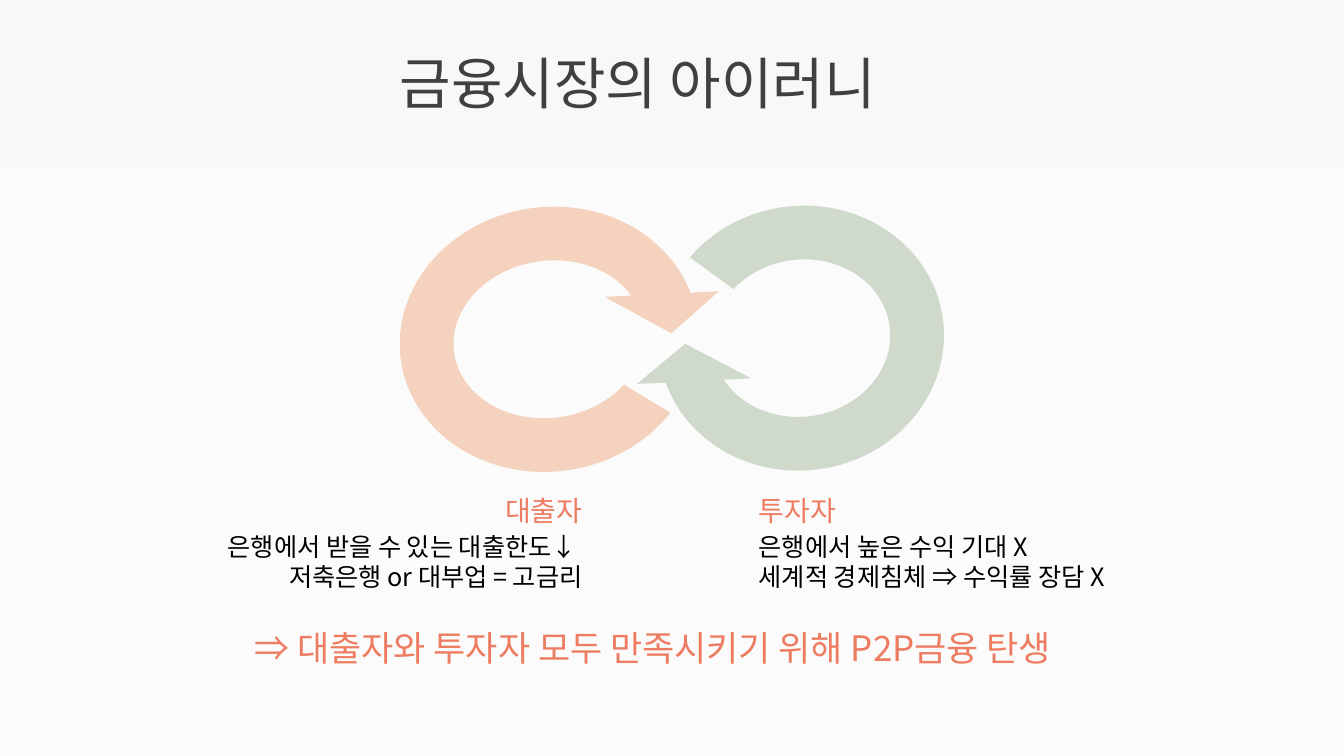
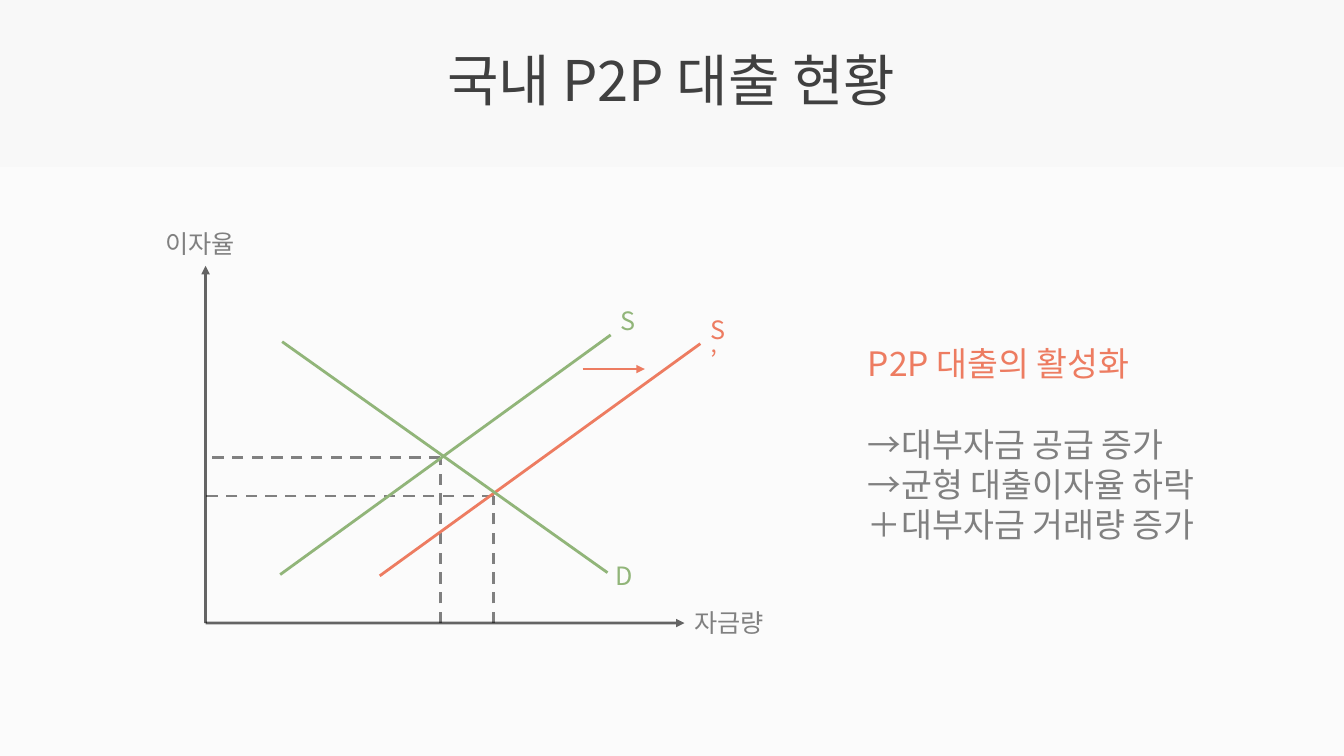
from lxml.etree import SubElement
from pptx import Presentation
from pptx.dml.color import RGBColor
from pptx.enum.dml import MSO_LINE
from pptx.enum.shapes import MSO_CONNECTOR, MSO_SHAPE
from pptx.enum.text import MSO_ANCHOR, PP_ALIGN
from pptx.oxml.ns import qn
from pptx.util import Cm, Pt

FONT = "Noto Sans CJK KR"
BLACK = RGBColor(0x00, 0x00, 0x00)
WHITE = RGBColor(0xFF, 0xFF, 0xFF)
PALE = RGBColor(0xF2, 0xF2, 0xF2)
DARK = RGBColor(0x40, 0x40, 0x40)
GRAY = RGBColor(0x80, 0x80, 0x80)
CORAL = RGBColor(0xED, 0x7C, 0x61)
GREEN = RGBColor(0x91, 0xB5, 0x79)
PEACH = RGBColor(0xF3, 0xC1, 0xA3)
SAGE = RGBColor(0xBD, 0xCC, 0xBA)

SLIDE_W, SLIDE_H, BAND_H = 33.87, 19.05, 4.2


# Shared helpers; lengths are in centimetres
def set_opacity(color_owner, percent):
    color = next(color_owner.iter(qn("a:srgbClr")))
    SubElement(color, qn("a:alpha"), val=str(percent * 1000))


def add_block(slide, preset, box, color, opacity):
    block = slide.shapes.add_shape(preset, *map(Cm, box))
    block.shadow.inherit = False
    block.fill.solid()
    block.fill.fore_color.rgb = color
    block.line.fill.background()
    set_opacity(block.fill._xPr, opacity)
    return block


def add_text(slide, box, lines, size, color, align=PP_ALIGN.LEFT, spacing=None):
    frame = slide.shapes.add_textbox(*map(Cm, box)).text_frame
    frame.word_wrap = True
    frame.text = "\n".join(lines)
    for paragraph in frame.paragraphs:
        paragraph.alignment = align
        paragraph.line_spacing = spacing
        for run in paragraph.runs:
            run.font.name = FONT
            run.font.size = Pt(size)
            run.font.color.rgb = color
            SubElement(run.font._element, qn("a:ea"), typeface=FONT)
    return frame


def add_line(slide, start, end, color, dashed=False, arrow=False, opacity=None):
    line = slide.shapes.add_connector(MSO_CONNECTOR.STRAIGHT, *map(Cm, start + end))
    line.line.width = Pt(2)
    line.line.color.rgb = color
    properties = line._element.spPr
    if opacity:
        set_opacity(properties, opacity)
    if dashed:
        line.line.dash_style = MSO_LINE.DASH
    if arrow:
        SubElement(properties.find(qn("a:ln")), qn("a:tailEnd"), type="triangle")
    SubElement(properties, qn("a:effectLst"))


def add_base_slide(deck, title, title_box, align):
    slide = deck.slides.add_slide(deck.slide_layouts[6])
    add_block(slide, MSO_SHAPE.RECTANGLE, (0, 0, SLIDE_W, SLIDE_H), PALE, 50)
    add_block(slide, MSO_SHAPE.RECTANGLE,
              (0, BAND_H, SLIDE_W, SLIDE_H - BAND_H), WHITE, 50)
    heading = add_text(slide, title_box, [title], 40, DARK, align, 0.9)
    heading.vertical_anchor = MSO_ANCHOR.MIDDLE
    return slide


# Slide 1: the loop of borrowers and investors
def add_loop_arrow(slide, box, rotation, color, start_angle):
    arrow = add_block(slide, MSO_SHAPE.CIRCULAR_ARROW, box, color, 70)
    arrow.rotation = rotation
    for index, value in enumerate((0.165, 11.42, 207.87, start_angle, 0.176)):
        arrow.adjustments[index] = value


def add_party(slide, left, top, width, name, details, align):
    add_text(slide, (left, top, width, 1.4), [name], 20, CORAL, align, 1.5)
    add_text(slide, (left, top + 1.38, width, 1.8), details, 18, BLACK, align)


def build_irony_slide(deck):
    slide = add_base_slide(deck, "금융시장의 아이러니",
                           (9.83, 1.4, 14.2, 1.55), PP_ALIGN.JUSTIFY)
    add_loop_arrow(slide, (9.3, 4.45, 9.07, 8.2), 351.7, PEACH, 23.68)
    add_loop_arrow(slide, (15.82, 4.42, 8.74, 8.2), 171.7, SAGE, 26.56)
    add_party(slide, 4.52, 11.89, 10.41, "대출자",
              ["은행에서 받을 수 있는 대출한도↓ ", "저축은행 or 대부업 = 고금리"],
              PP_ALIGN.RIGHT)
    add_party(slide, 18.87, 11.89, 9.88, "투자자",
              ["은행에서 높은 수익 기대 X", "세계적 경제침체 ⇒ 수익률 장담 X"],
              PP_ALIGN.LEFT)
    add_text(slide, (6.17, 15.67, 21.51, 1.32),
             ["⇒ 대출자와 투자자 모두 만족시키기 위해 P2P금융 탄생"], 25, CORAL)


# Slide 2: supply and demand for loanable funds
def add_market_graph(slide, left, base):
    """Draw the graph from its axis origin; heights count upwards."""
    def at(x, height):
        return left + x, base - height

    # Equilibrium guides
    for amount, rate in ((5.92, 4.17), (7.26, 3.2)):
        add_line(slide, at(amount, 0), at(amount, rate), GRAY, dashed=True)
        add_line(slide, at(amount, rate), at(0, rate), GRAY, dashed=True)

    # Axes
    for axis_end in ((0, 9), (12.07, 0)):
        add_line(slide, at(0, 0), at(*axis_end), BLACK, arrow=True, opacity=60)

    # Supply, shifted supply and demand curves
    for start, end, color in (
        ((1.88, 1.22), (10.21, 7.26), GREEN),
        ((4.39, 1.19), (12.47, 7.04), CORAL),
        ((1.93, 7.09), (10.13, 1.27), GREEN),
    ):
        add_line(slide, at(*start), at(*end), color)
    add_line(slide, at(9.5, 6.4), at(11.07, 6.4), CORAL, arrow=True)

    # Axis and curve names
    for name, corner, width, color in (
        ("이자율", (-1.27, 10.08), 2.33, GRAY),
        ("자금량", (12.07, 0.51), 2.33, GRAY),
        ("S", (10.21, 8.13), 1.02, GREEN),
        ("S’", (12.47, 7.9), 1.02, CORAL),
        ("D", (10.08, 1.7), 1.02, GREEN),
    ):
        add_text(slide, (*at(*corner), width, 1.02), [name], 18, color)


def add_effects(slide, box):
    effects = add_text(slide, box, [
        "P2P 대출의 활성화",
        "→대부자금 공급 증가",
        "→균형 대출이자율 하락",
        "＋대부자금 거래량 증가",
    ], 24, GRAY)
    headline, first_effect = effects.paragraphs[:2]
    headline.runs[0].font.color.rgb = CORAL
    first_effect.space_before = Pt(29)


def build_market_slide(deck):
    slide = add_base_slide(deck, "국내 P2P 대출 현황",
                           (4.85, 1.32, 24.13, 1.55), PP_ALIGN.CENTER)
    add_market_graph(slide, 5.18, 15.7)
    add_effects(slide, (21.62, 8.51, 10.39, 5.38))


def main():
    deck = Presentation()
    deck.slide_width, deck.slide_height = Cm(SLIDE_W), Cm(SLIDE_H)
    build_irony_slide(deck)
    build_market_slide(deck)
    deck.save("out.pptx")


if __name__ == "__main__":
    main()
